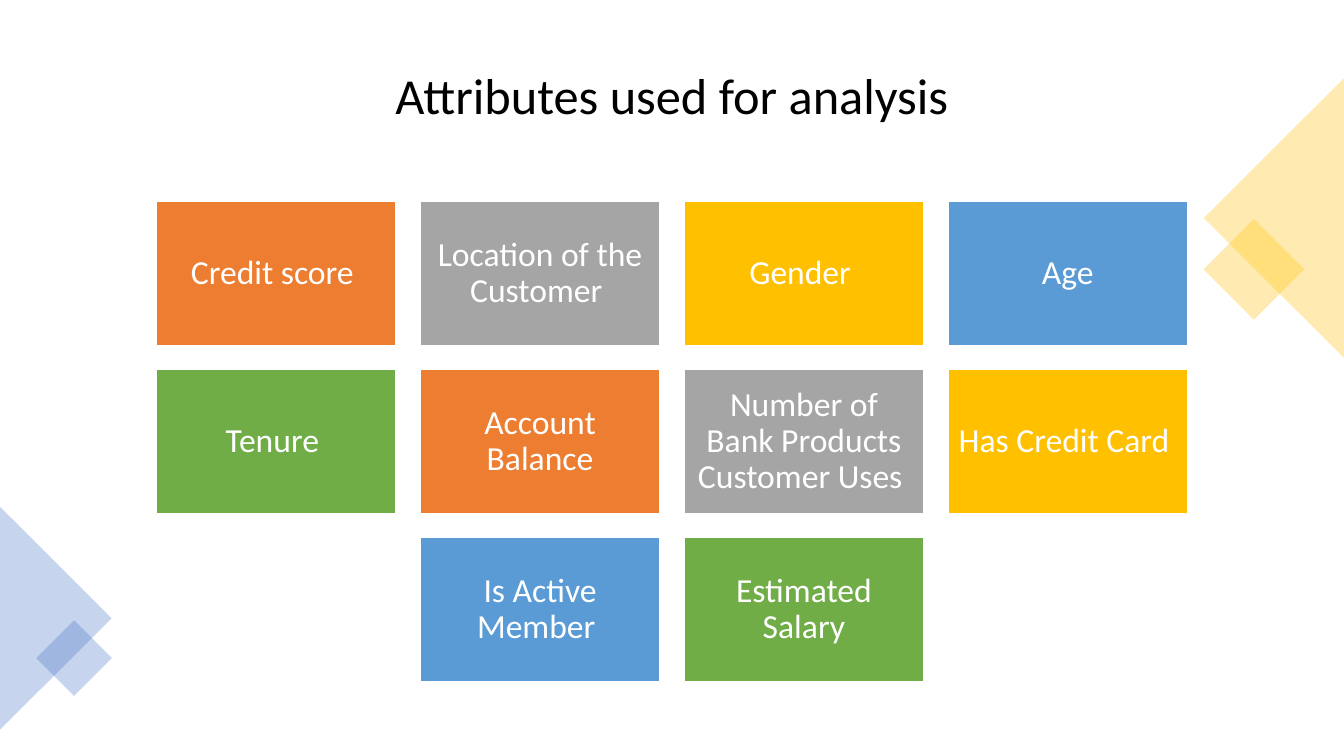
"""Build the slide that lists the attributes used for the analysis."""
from typing import NamedTuple

from lxml import etree
from pptx import Presentation
from pptx.dml.color import RGBColor
from pptx.enum.shapes import MSO_SHAPE
from pptx.enum.text import MSO_ANCHOR, PP_ALIGN
from pptx.oxml.ns import qn
from pptx.util import Pt

RECTANGLE = MSO_SHAPE.RECTANGLE
TRIANGLE = MSO_SHAPE.ISOSCELES_TRIANGLE
MIDDLE = MSO_ANCHOR.MIDDLE
CENTER = PP_ALIGN.CENTER

COLORS = {
    "black": "000000",
    "white": "FFFFFF",
    "orange": "ED7D31",
    "gray": "A5A5A5",
    "gold": "FFC000",
    "sky": "5B9BD5",
    "green": "70AD47",
    "blue": "4472C4",
}
TILE_COLORS = ["orange", "gray", "gold", "sky", "green"]
FONT = "Calibri"

PAGE_WIDTH, PAGE_HEIGHT = 960, 540
TILE_WIDTH, TILE_HEIGHT = 171.4, 102.85
TILE_GAP = 17.1
TILES_TOP = 144
TILES_PER_ROW = 4
TILE_INSET = 7.2

ATTRIBUTES = [
    "Credit score ",
    "Location of the Customer ",
    "Gender ",
    "Age",
    "Tenure ",
    "Account Balance",
    "Number of Bank Products Customer Uses ",
    "Has Credit Card ",
    "Is Active Member ",
    "Estimated Salary",
]


class Ornament(NamedTuple):
    kind: MSO_SHAPE
    left: float
    top: float
    width: float
    height: float
    rotation: float
    color: str


ORNAMENTS = [
    Ornament(RECTANGLE, 870.2, 166.9, 51, 51, 45, "gold"),
    Ornament(TRIANGLE, 810.1, 105.7, 199.5, 100, 270, "gold"),
    Ornament(TRIANGLE, -39.7, 401.7, 159.2, 79.8, 90, "blue"),
    Ornament(RECTANGLE, 33.8, 451, 38.2, 38.2, 45, "blue"),
]


def rgb(color: str) -> RGBColor:
    return RGBColor.from_string(COLORS[color])


def write_text(shape, text: str, *, size: float, color: str, inset: float) -> None:
    frame = shape.text_frame
    frame.word_wrap = True
    frame.vertical_anchor = MIDDLE
    frame.margin_left = frame.margin_right = Pt(inset)
    frame.margin_top = frame.margin_bottom = Pt(inset)
    para = frame.paragraphs[0]
    para.alignment = CENTER
    para.line_spacing = 0.9
    span = para.add_run()
    span.text = text
    span.font.name = FONT
    span.font.size = Pt(size)
    span.font.color.rgb = rgb(color)


def add_filled(page, kind: MSO_SHAPE, left: float, top: float,
               width: float, height: float, color: str):
    shape = page.shapes.add_shape(kind, Pt(left), Pt(top), Pt(width), Pt(height))
    shape.shadow.inherit = False
    shape.fill.solid()
    shape.fill.fore_color.rgb = rgb(color)
    return shape


def add_ornament(page, ornament: Ornament) -> None:
    shape = add_filled(page, *ornament[:5], ornament.color)
    shape.rotation = ornament.rotation
    shape.line.fill.background()
    solid = shape.fill._xPr.find(qn("a:solidFill"))
    etree.SubElement(solid[0], qn("a:alpha"), val="30000")


def add_tiles(page) -> None:
    for index, attribute in enumerate(ATTRIBUTES):
        row, column = divmod(index, TILES_PER_ROW)
        count = min(TILES_PER_ROW, len(ATTRIBUTES) - row * TILES_PER_ROW)
        row_width = count * TILE_WIDTH + (count - 1) * TILE_GAP
        left = (PAGE_WIDTH - row_width) / 2 + column * (TILE_WIDTH + TILE_GAP)
        top = TILES_TOP + row * (TILE_HEIGHT + TILE_GAP)
        color = TILE_COLORS[index % len(TILE_COLORS)]
        tile = add_filled(page, RECTANGLE, left, top, TILE_WIDTH, TILE_HEIGHT, color)
        tile.line.color.rgb = rgb("white")
        tile.line.width = Pt(1)
        write_text(tile, attribute, size=24, color="white", inset=TILE_INSET)


def main() -> None:
    deck = Presentation()
    deck.slide_width, deck.slide_height = Pt(PAGE_WIDTH), Pt(PAGE_HEIGHT)
    page = deck.slides.add_slide(deck.slide_layouts[6])
    title = page.shapes.add_textbox(Pt(50.4), Pt(25.2), Pt(859.2), Pt(89.3))
    write_text(title, "Attributes used for analysis", size=36, color="black", inset=3.6)
    for ornament in ORNAMENTS:
        add_ornament(page, ornament)
    add_tiles(page)
    deck.save("out.pptx")


if __name__ == "__main__":
    main()
